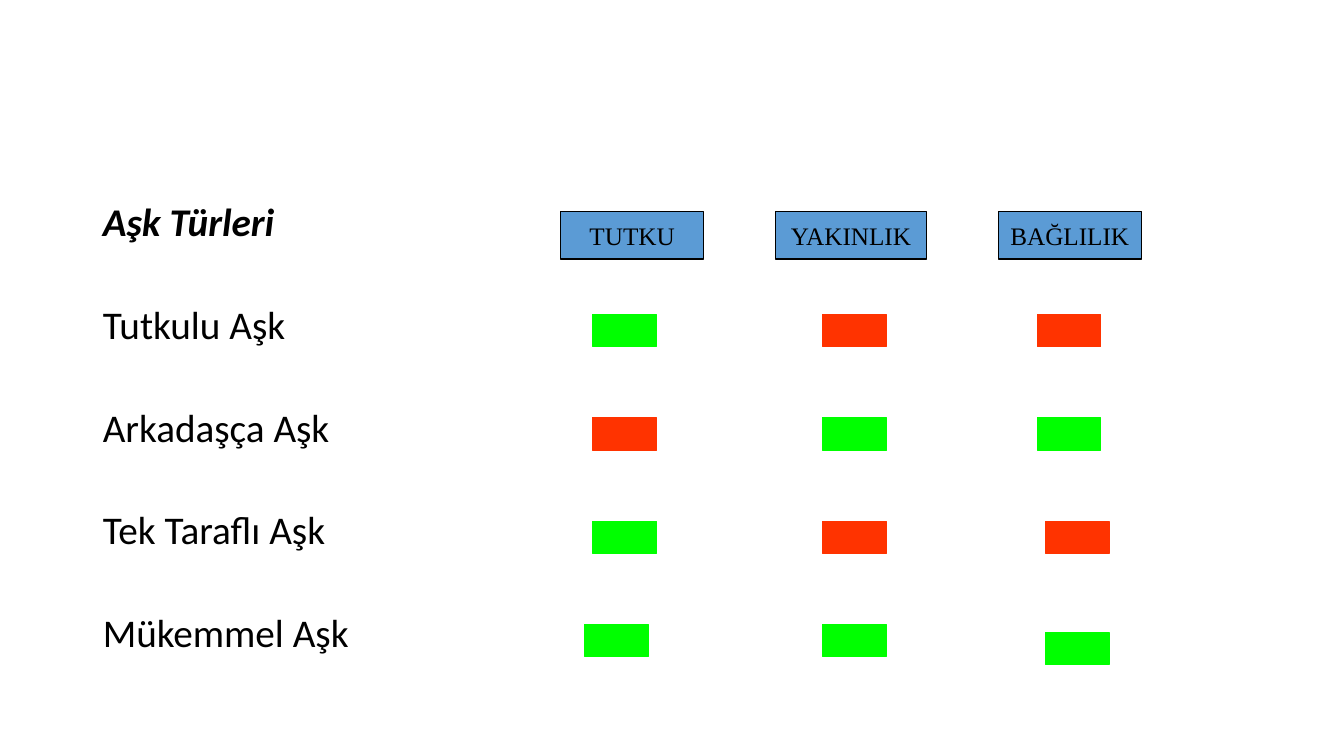
from lxml.etree import SubElement
from pptx import Presentation
from pptx.dml.color import RGBColor
from pptx.enum.shapes import MSO_SHAPE
from pptx.enum.text import MSO_ANCHOR, MSO_AUTO_SIZE, PP_ALIGN
from pptx.oxml.ns import qn
from pptx.util import Inches, Pt

COLORS = {"header": "5B9BD5", "present": "00FF00", "absent": "FF3300", "ink": "000000"}

HEADING = "Aşk Türleri"
# component, header left, header width, marker left
COMPONENTS = [
    ("TUTKU", 5.56, 1.42, 5.88),
    ("YAKINLIK", 7.69, 1.5, 8.16),
    ("BAĞLILIK", 9.9, 1.42, 10.29),
]
# love type, whether each component is present
LOVE_TYPES = [
    ("Tutkulu Aşk", (True, False, False)),
    ("Arkadaşça Aşk", (False, True, True)),
    ("Tek Taraflı Aşk", (True, False, True and False)),
    ("Mükemmel Aşk", (True, True, True)),
]
# (row, column): shift right, shift down
MARKER_SHIFTS = {(2, 2): (0.08, 0), (3, 0): (-0.08, 0), (3, 2): (0.08, 0.08)}

HEADER_TOP, HEADER_HEIGHT = 2.1, 0.47
MARKER_TOP, ROW_STEP = 3.12, 1.025
MARKER_WIDTH, MARKER_HEIGHT = 0.63, 0.32
HEADER_FONT = {"name": "Times New Roman", "size": Pt(18)}
LIST_FONT = {"name": "Calibri", "size": Pt(28)}
HEADING_FONT = {**LIST_FONT, "bold": True, "italic": True}


def color(name):
    return RGBColor.from_string(COLORS[name])


def format_font(font, values):
    for attribute, value in values.items():
        setattr(font, attribute, value)
    font.color.rgb = color("ink")


def add_box(slide, left, top, width, height, fill, line):
    box = slide.shapes.add_shape(
        MSO_SHAPE.RECTANGLE, Inches(left), Inches(top), Inches(width), Inches(height))
    box.shadow.inherit = False
    box.fill.solid()
    box.fill.fore_color.rgb = color(fill)
    box.line.color.rgb = color(line)
    box.line.width = Pt(0.75)
    return box


def add_love_types(slide):
    body = slide.placeholders[1]
    body.left, body.top = Inches(0.92), Inches(2)
    body.width, body.height = Inches(11.5), Inches(4.76)
    frame = body.text_frame
    frame.auto_size = MSO_AUTO_SIZE.NONE
    names = [HEADING] + [name for name, _ in LOVE_TYPES]
    for index, name in enumerate(names):
        paragraph = frame.add_paragraph() if index else frame.paragraphs[0]
        paragraph.line_spacing = 0.8
        paragraph.space_before = Pt(46.5 if index else 0)
        properties = paragraph._p.get_or_add_pPr()
        properties.set("marL", "0")
        properties.set("indent", "0")
        SubElement(properties, qn("a:buNone"))
        run = paragraph.add_run()
        run.text = name
        format_font(run.font, LIST_FONT if index else HEADING_FONT)


def add_headers(slide):
    for name, left, width, _ in COMPONENTS:
        header = add_box(slide, left, HEADER_TOP, width, HEADER_HEIGHT, "header", "ink")
        frame = header.text_frame
        frame.word_wrap = False
        frame.vertical_anchor = MSO_ANCHOR.MIDDLE
        paragraph = frame.paragraphs[0]
        paragraph.alignment = PP_ALIGN.CENTER
        run = paragraph.add_run()
        run.text = name
        format_font(run.font, HEADER_FONT)


def add_markers(slide):
    for row, (_, presence) in enumerate(LOVE_TYPES):
        for column, present in enumerate(presence):
            right, down = MARKER_SHIFTS.get((row, column), (0, 0))
            state = "present" if present else "absent"
            add_box(slide, COMPONENTS[column][3] + right, MARKER_TOP + row * ROW_STEP + down,
                    MARKER_WIDTH, MARKER_HEIGHT, state, state)


def main():
    presentation = Presentation()
    presentation.slide_width, presentation.slide_height = Inches(13.33), Inches(7.5)
    slide = presentation.slides.add_slide(presentation.slide_layouts[1])
    title = slide.shapes.title._element
    title.getparent().remove(title)
    add_love_types(slide)
    add_headers(slide)
    add_markers(slide)
    presentation.save("out.pptx")


if __name__ == "__main__":
    main()
